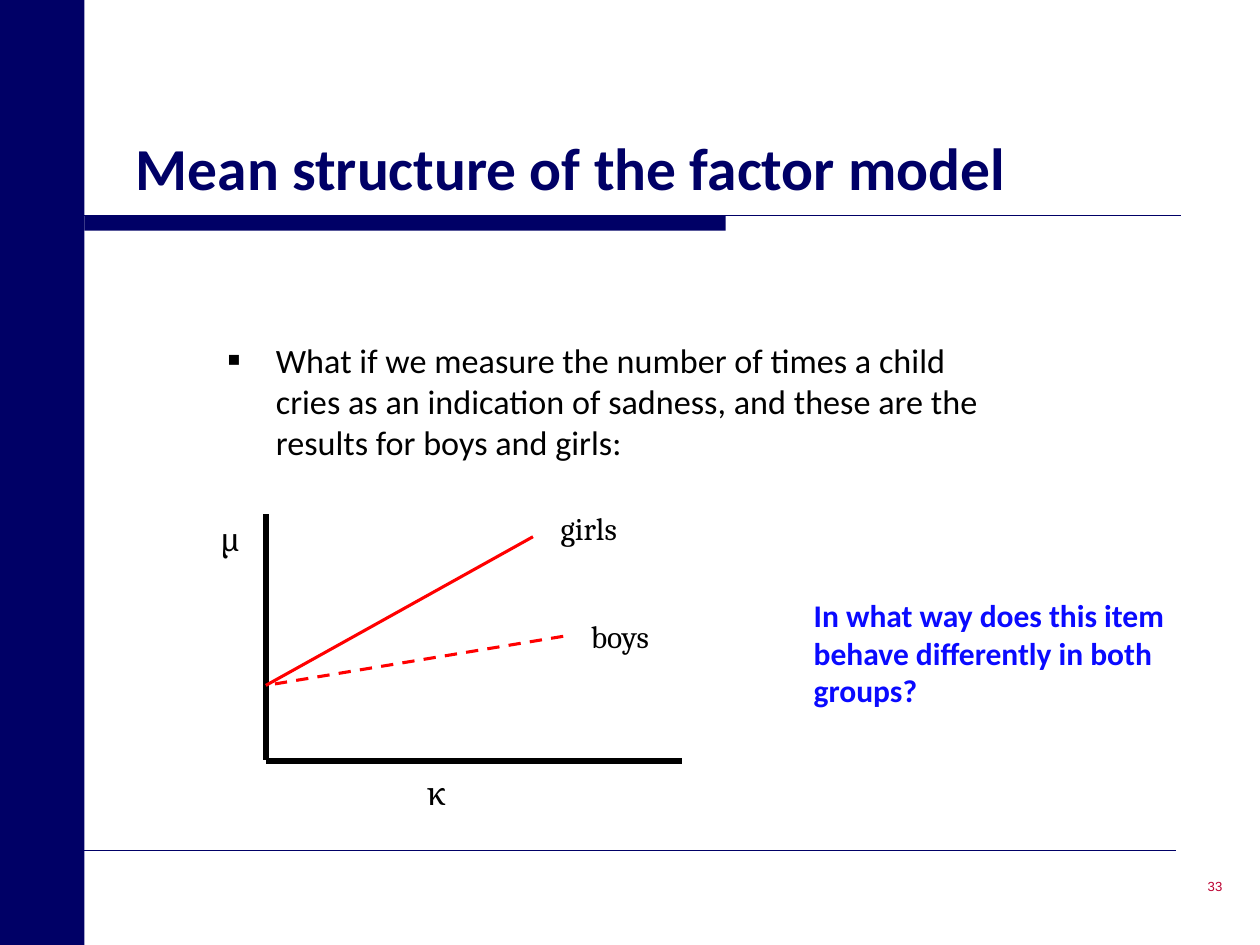
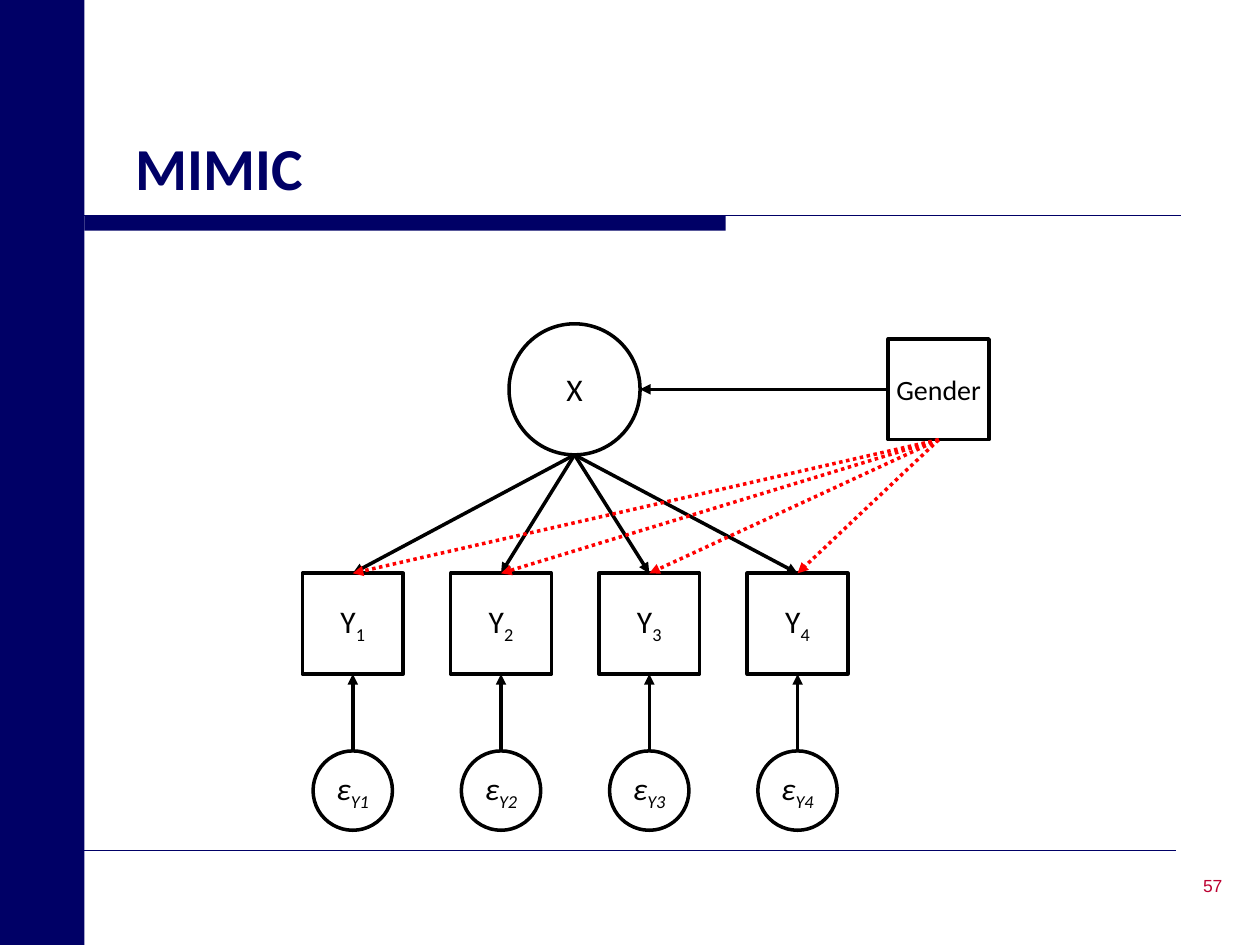
from lxml import etree
from pptx import Presentation
from pptx.dml.color import RGBColor
from pptx.enum.dml import MSO_LINE
from pptx.enum.shapes import MSO_CONNECTOR, MSO_SHAPE
from pptx.enum.text import MSO_ANCHOR, PP_ALIGN
from pptx.oxml.ns import qn
from pptx.util import Inches, Pt

RECT, OVAL = MSO_SHAPE.RECTANGLE, MSO_SHAPE.OVAL
STRAIGHT = MSO_CONNECTOR.STRAIGHT
DASH, DOTS = MSO_LINE.DASH, MSO_LINE.ROUND_DOT
TOP, MIDDLE, BOTTOM = MSO_ANCHOR.TOP, MSO_ANCHOR.MIDDLE, MSO_ANCHOR.BOTTOM
LEFT, CENTER, RIGHT = PP_ALIGN.LEFT, PP_ALIGN.CENTER, PP_ALIGN.RIGHT

NAVY, BLACK, RED, BLUE, CRIMSON = "000066", "000000", "FF0000", "0A0AFF", "BC0031"
SANS, SERIF, NUMBER_FONT = "Calibri", "Cambria", "Arial"


def rgb(hex_color):
    return RGBColor.from_string(hex_color)


def add_xml(parent, tag, **attributes):
    return etree.SubElement(parent, qn(tag), **attributes)


class Deck:
    """Holds the shared style and the slide being drawn."""

    def __init__(self):
        self.prs = Presentation()
        self.prs.slide_width, self.prs.slide_height = Inches(10), Inches(7.5)
        self.slide = None

    def new_slide(self, title, number, number_size):
        self.slide = self.prs.slides.add_slide(self.prs.slide_layouts[6])
        self.band(0.67, 1.71, 5.09, 0.12)
        self.line((0.67, 1.71), (9.37, 1.71), NAVY, 0.75)
        self.line((0.67, 6.75), (9.33, 6.75), NAVY, 0.25)
        self.band(0, 0, 0.67, 7.5)
        self.text(title, 0.98, 0.33, 7.69, 1.33, size=34, color=NAVY,
                  bold=True, anchor=BOTTOM)
        self.text(number, 7.72, 6.74, 2.08, 0.58, size=number_size,
                  font=NUMBER_FONT, color=CRIMSON, anchor=MIDDLE, align=RIGHT)

    def band(self, left, top, width, height):
        band = self.slide.shapes.add_shape(
            RECT, Inches(left), Inches(top), Inches(width), Inches(height))
        band.shadow.inherit = False
        band.fill.solid()
        band.fill.fore_color.rgb = rgb(NAVY)
        band.line.fill.background()

    def line(self, start, end, color=BLACK, width=2, dash=None, arrow=False):
        line = self.slide.shapes.add_connector(
            STRAIGHT, *(Inches(value) for value in (*start, *end)))
        line.line.color.rgb = rgb(color)
        line.line.width = Pt(width)
        if dash:
            line.line.dash_style = dash
        if arrow:
            add_xml(line.line._get_or_add_ln(), "a:tailEnd", type="triangle")
        add_xml(line._element.spPr, "a:effectLst")

    def format_run(self, run, size, font=SANS, color=BLACK, bold=False, italic=False):
        run.font.size = Pt(size)
        run.font.name = font
        run.font.color.rgb = rgb(color)
        run.font.bold = bold
        run.font.italic = italic

    def text(self, content, left, top, width, height, size=18, font=SANS,
             color=BLACK, bold=False, anchor=TOP, align=LEFT):
        box = self.slide.shapes.add_textbox(
            Inches(left), Inches(top), Inches(width), Inches(height))
        frame = box.text_frame
        frame.word_wrap = True
        frame.vertical_anchor = anchor
        frame.text = content
        paragraph = frame.paragraphs[0]
        paragraph.alignment = align
        self.format_run(paragraph.runs[0], size, font, color, bold)
        return frame

    def bullet(self, content, left, top, width, height, size):
        frame = self.text(content, left, top, width, height, size)
        frame.margin_left = frame.margin_right = 0
        frame.margin_top = frame.margin_bottom = 0
        paragraph = frame.paragraphs[0]
        paragraph.space_before = Pt(size * 0.2)
        properties = paragraph._p.get_or_add_pPr()
        indent = Inches(0.38)
        properties.set("marL", str(indent))
        properties.set("indent", str(-indent))
        add_xml(properties, "a:buSzPct", val="60000")
        add_xml(properties, "a:buFont", typeface=NUMBER_FONT)
        add_xml(properties, "a:buChar", char="■")

    def node(self, kind, center, side, label, subscript="", size=18,
             italic=False, wrap=False):
        """Outlined shape around a centre, its label followed by a subscript."""
        x, y = center
        node = self.slide.shapes.add_shape(
            kind, Inches(x - side / 2), Inches(y - side / 2), Inches(side), Inches(side))
        node.shadow.inherit = False
        node.fill.background()
        node.line.color.rgb = rgb(BLACK)
        node.line.width = Pt(2)
        frame = node.text_frame
        frame.word_wrap = wrap
        frame.vertical_anchor = MIDDLE
        frame.text = label
        paragraph = frame.paragraphs[0]
        paragraph.alignment = CENTER
        if subscript:
            lowered = paragraph.add_run()
            lowered.text = subscript
            lowered._r.get_or_add_rPr().set("baseline", "-25000")
        for run in paragraph.runs:
            self.format_run(run, size, italic=italic)


def mean_structure(deck):
    deck.new_slide("Mean structure of the factor model", "33", 7.5)
    deck.bullet("What if we measure the number of times a child cries as an "
                "indication of sadness, and these are the results for boys and girls:",
                1.81, 2.69, 6.06, 2.11, 19.5)
    intercept = (2.11, 5.44)
    deck.line((2.11, 4.08), (2.11, 6.03), width=3.5)
    deck.line((5.41, 6.04), (2.11, 6.04), width=3.5)
    deck.line((4.23, 4.26), intercept, RED, 1.75)
    deck.line((4.47, 5.05), intercept, RED, 1.75, DASH)
    for label, left, top in (("κ", 3.29, 6.09), ("μ", 1.65, 4.08),
                             ("girls", 4.35, 3.99), ("boys", 4.59, 4.85)):
        deck.text(label, left, top, 1.18, 0.4, font=SERIF)
    deck.text("In what way does this item behave differently in both groups?",
              6.36, 4.68, 3.3, 1.01, color=BLUE, bold=True)


def mimic(deck):
    deck.new_slide("MIMIC", "57", 10)
    box, factor_size, error_size = 0.8, 1.04, 0.63
    factor_x, gender_x, cause_y = 4.56, 7.45, 3.09
    item_y, error_y = 4.95, 6.275
    first_x, last_x, count = 2.8, 6.33, 4
    item_xs = [first_x + i * (last_x - first_x) / (count - 1) for i in range(count)]
    item_top, item_bottom = item_y - box / 2, item_y + box / 2

    deck.node(OVAL, (factor_x, cause_y), factor_size, "X")
    deck.node(RECT, (gender_x, cause_y), box, "Gender", size=16)
    deck.line((gender_x - box / 2, cause_y), (factor_x + factor_size / 2, cause_y),
              arrow=True)
    for number, x in enumerate(item_xs, 1):
        deck.node(RECT, (x, item_y), box, "Y", str(number), wrap=True)
        deck.node(OVAL, (x, error_y), error_size, "ε", f"Y{number}", italic=True)
        deck.line((x, error_y - error_size / 2), (x, item_bottom), arrow=True)
        deck.line((factor_x, cause_y + factor_size / 2), (x, item_top), arrow=True)
    for x in item_xs:
        deck.line((gender_x, cause_y + box / 2), (x, item_top), RED, dash=DOTS, arrow=True)


def main():
    deck = Deck()
    mean_structure(deck)
    mimic(deck)
    deck.prs.save("out.pptx")


if __name__ == "__main__":
    main()
